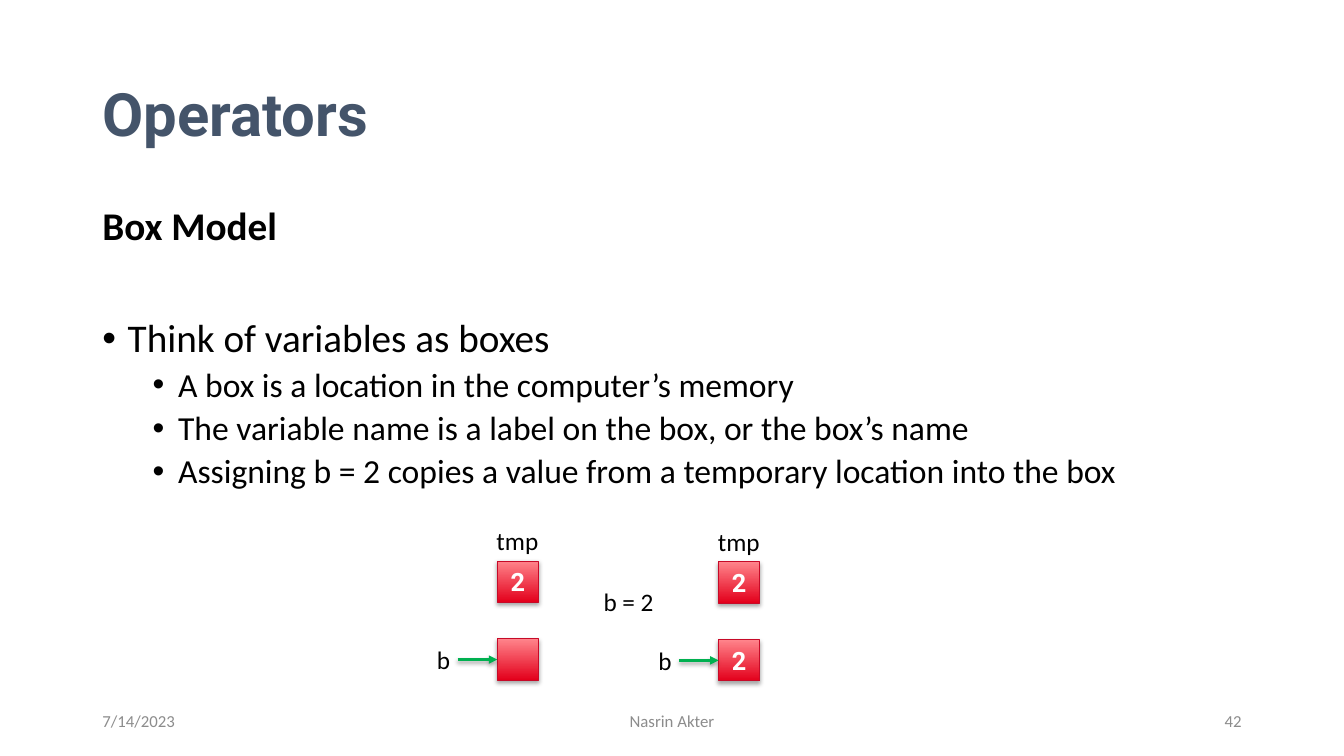
from dataclasses import dataclass

from lxml import etree
from pptx import Presentation
from pptx.dml.color import RGBColor
from pptx.enum.shapes import MSO_CONNECTOR, MSO_SHAPE
from pptx.enum.text import MSO_ANCHOR, PP_ALIGN
from pptx.oxml.ns import qn
from pptx.util import Cm, Pt

LEFT, CENTER, RIGHT = PP_ALIGN.LEFT, PP_ALIGN.CENTER, PP_ALIGN.RIGHT
TOP, MIDDLE = MSO_ANCHOR.TOP, MSO_ANCHOR.MIDDLE
RECTANGLE = MSO_SHAPE.RECTANGLE
STRAIGHT = MSO_CONNECTOR.STRAIGHT

COLORS = {
    "title": "44546A",
    "text": "000000",
    "footer": "8C8C8C",
    "white": "FFFFFF",
    "box_dark": "E3001B",
    "box_light": "FF848B",
    "box_line": "C70A28",
    "arrow": "00B050",
}
BOX_SIZE = 1.04
ROW_STEP = 1.96


@dataclass
class Label:
    text: str
    left: float
    top: float
    width: float
    height: float = 1.02
    size: float = 18
    color: str = "text"
    font: str = "Calibri"
    bold: bool = False
    align: PP_ALIGN = CENTER
    anchor: MSO_ANCHOR = TOP


@dataclass
class Line:
    text: str
    size: float
    before: float
    indent: float = 0
    bullet: bool = False
    bold: bool = False


@dataclass
class MemoryState:
    left: float
    top: float
    b_value: str


LABELS = [
    Label("Operators", 2.33, 1.01, 29.21, 3.68, 42.7, "title", "Roboto", True, LEFT, MIDDLE),
    Label("b = 2", 14.71, 14.66, 2.26),
    Label("Nasrin Akter", 11.22, 17.66, 11.43, size=12, color="footer", anchor=MIDDLE),
    Label("7/14/2023", 2.33, 17.66, 7.62, size=12, color="footer", align=LEFT, anchor=MIDDLE),
    Label("42", 23.92, 17.66, 7.62, size=12, color="footer", align=RIGHT, anchor=MIDDLE),
]
LINES = [
    Line("Box Model", 28, 0, bold=True),
    Line("Think of variables as boxes", 28, 50, 0.64, True),
    Line("A box is a location in the computer’s memory", 24, 5, 1.91, True),
    Line("The variable name is a label on the box, or the box’s name", 24, 5, 1.91, True),
    Line("Assigning b = 2 copies a value from a temporary location into the box", 24, 5, 1.91, True),
]
STATES = [MemoryState(12.53, 14.14, ""), MemoryState(18.11, 14.16, "2")]


def rgb(name: str) -> RGBColor:
    return RGBColor.from_string(COLORS[name])


def style_font(font, name: str, size: float, color: str, bold: bool) -> None:
    font.name = name
    font.size = Pt(size)
    font.bold = bold
    font.color.rgb = rgb(color)


def add_label(s, label: Label) -> None:
    tf = s.shapes.add_textbox(
        Cm(label.left), Cm(label.top), Cm(label.width), Cm(label.height)
    ).text_frame
    tf.word_wrap = True
    tf.vertical_anchor = label.anchor
    tf.text = label.text
    p = tf.paragraphs[0]
    p.alignment = label.align
    style_font(p.runs[0].font, label.font, label.size, label.color, label.bold)


def add_body(s, lines: list[Line]) -> None:
    tf = s.shapes.add_textbox(Cm(2.33), Cm(5.08), Cm(29.21), Cm(12.09)).text_frame
    tf.word_wrap = True
    for i, line in enumerate(lines):
        p = tf.paragraphs[0] if i == 0 else tf.add_paragraph()
        p.text = line.text
        p.line_spacing = 0.9
        p.space_before = Pt(line.before)
        if line.bullet:
            pPr = p._p.get_or_add_pPr()
            pPr.set("marL", str(Cm(line.indent)))
            pPr.set("indent", str(-Cm(0.64)))
            etree.SubElement(pPr, qn("a:buFont"), typeface="Arial")
            etree.SubElement(pPr, qn("a:buChar"), char="•")
        style_font(p.runs[0].font, "Calibri", line.size, "text", line.bold)


def add_shadow(spPr, alpha: int, distance: float) -> None:
    effects = spPr.find(qn("a:effectLst"))
    if effects is None:
        effects = etree.SubElement(spPr, qn("a:effectLst"))
    shadow = etree.SubElement(
        effects, qn("a:outerShdw"), blurRad=str(Pt(3.1)), dist=str(Pt(distance)),
        dir="5400000", rotWithShape="0",
    )
    color = etree.SubElement(shadow, qn("a:srgbClr"), val="000000")
    etree.SubElement(color, qn("a:alpha"), val=str(alpha * 1000))


def add_box(s, left: float, top: float, value: str):
    sp = s.shapes.add_shape(RECTANGLE, Cm(left), Cm(top), Cm(BOX_SIZE), Cm(BOX_SIZE))
    sp.fill.gradient()
    sp.fill.gradient_angle = 90
    for stop, position, color in zip(sp.fill.gradient_stops, (0, 1), ("box_dark", "box_light")):
        stop.position = position
        stop.color.rgb = rgb(color)
    sp.line.color.rgb = rgb("box_line")
    sp.line.width = Pt(0.75)
    sp.shadow.inherit = False
    add_shadow(sp._element.spPr, 35, 1.8)
    if value:
        tf = sp.text_frame
        tf.text = value
        tf.vertical_anchor = MIDDLE
        p = tf.paragraphs[0]
        p.alignment = CENTER
        style_font(p.runs[0].font, "Roboto", 18, "white", True)
    return sp


def add_arrow(s, left: float, y: float, box) -> None:
    arrow = s.shapes.add_connector(STRAIGHT, Cm(left), Cm(y), box.left, Cm(y))
    arrow.end_connect(box, 1)
    arrow.line.color.rgb = rgb("arrow")
    arrow.line.width = Pt(2)
    etree.SubElement(arrow.line._get_or_add_ln(), qn("a:tailEnd"), type="triangle")
    add_shadow(arrow._element.spPr, 38, 1.6)


def add_state(s, state: MemoryState) -> None:
    b_top = state.top + ROW_STEP
    add_box(s, state.left, state.top, "2")
    b_box = add_box(s, state.left, b_top, state.b_value)
    add_label(s, Label("tmp", state.left - 0.34, state.top - 1.02, 1.7))
    add_label(s, Label("b", state.left - 2.06, b_top + 0.02, 1.42))
    add_arrow(s, state.left - 1, b_top + BOX_SIZE / 2, b_box)


def main() -> None:
    prs = Presentation()
    prs.slide_width, prs.slide_height = Cm(33.87), Cm(19.05)
    s = prs.slides.add_slide(prs.slide_layouts[6])
    add_body(s, LINES)
    for state in STATES:
        add_state(s, state)
    for label in LABELS:
        add_label(s, label)
    prs.save("out.pptx")


if __name__ == "__main__":
    main()
